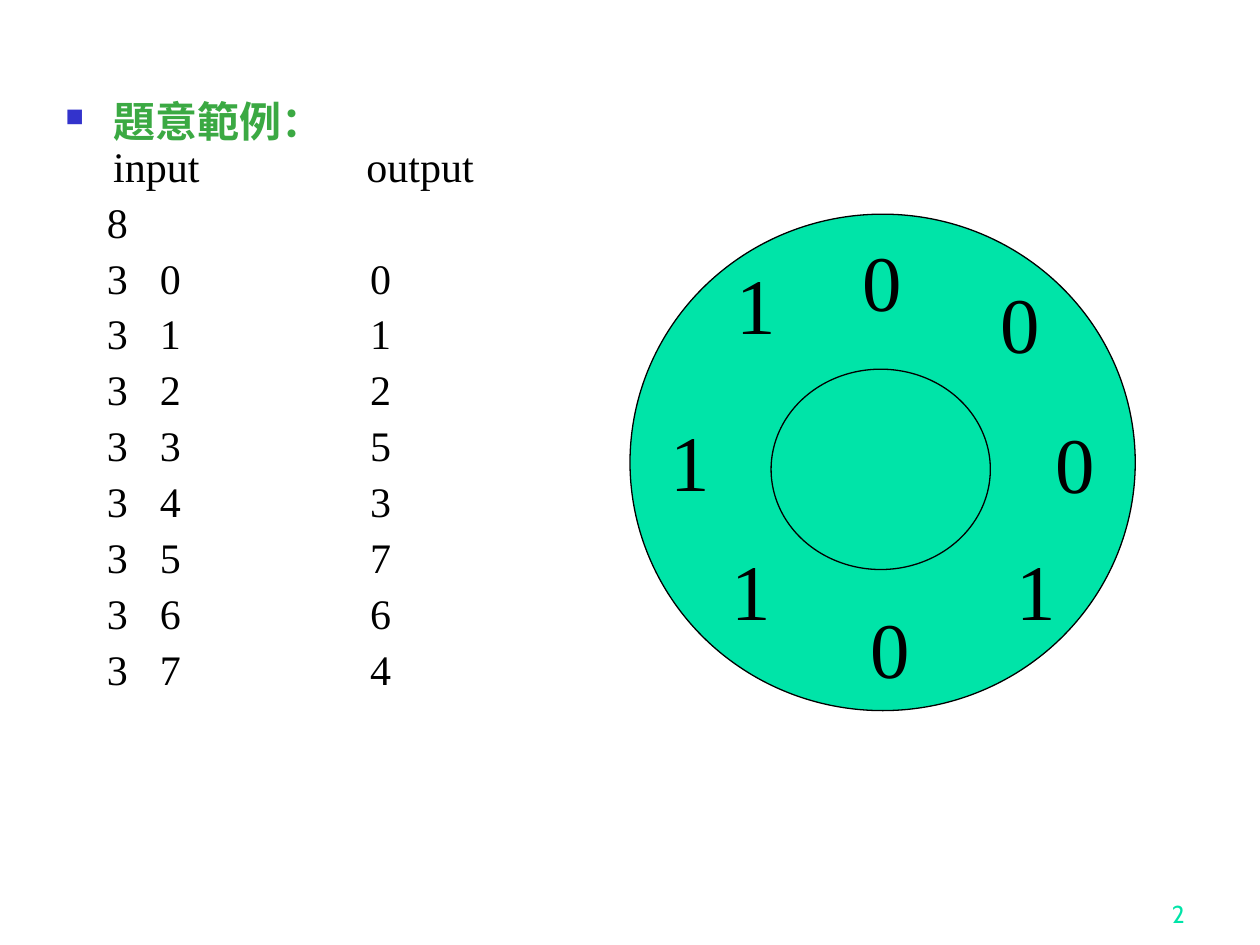
"""Build the slide with the sample input, its output and the ring of bits."""
from dataclasses import dataclass

from lxml.etree import SubElement
from pptx import Presentation
from pptx.dml.color import RGBColor
from pptx.enum.shapes import MSO_SHAPE
from pptx.enum.text import MSO_ANCHOR, PP_ALIGN
from pptx.oxml.ns import qn
from pptx.util import Inches, Pt


@dataclass(frozen=True)
class Theme:
    black: str = "000000"
    green: str = "3BA943"
    mint: str = "00E4A8"
    blue: str = "3333CC"
    serif: str = "Times New Roman"
    sans: str = "Cabin"
    body: int = 24
    digit: int = 45
    small: int = 14


THEME = Theme()
ROWS = ["8"] + [f"3\t{n}\t{out}" for n, out in enumerate([0, 1, 2, 5, 3, 7, 6, 4])]
BITS = [
    ("0", 6.75, 1.8), ("0", 7.84, 2.13), ("0", 8.28, 3.24), ("1", 7.97, 4.25),
    ("0", 6.81, 4.71), ("1", 5.71, 4.25), ("1", 5.22, 3.23), ("1", 5.75, 1.98),
]


def add_box(slide, left, top, width, height, wrap=True):
    box = slide.shapes.add_textbox(
        Inches(left), Inches(top), Inches(width), Inches(height))
    box.text_frame.word_wrap = wrap
    return box.text_frame


def write(para, text, size=THEME.body, font=THEME.serif, color=THEME.black, bold=False):
    run = para.add_run()
    run.text = text
    run.font.size = Pt(size)
    run.font.name = font
    run.font.bold = bold
    run.font.color.rgb = RGBColor.from_string(color)


def set_bullet(para):
    props = para._p.get_or_add_pPr()
    props.set("marL", str(Inches(0.38)))
    props.set("indent", str(Inches(-0.38)))
    tint = SubElement(props, qn("a:buClr"))
    SubElement(tint, qn("a:srgbClr"), val=THEME.blue)
    SubElement(props, qn("a:buSzPct"), val="60000")
    SubElement(props, qn("a:buChar"), char="■")


def set_tabs(para, stops):
    tabs = SubElement(para._p.get_or_add_pPr(), qn("a:tabLst"))
    for stop in stops:
        SubElement(tabs, qn("a:tab"), pos=str(Inches(stop)), algn="l")


def add_row(frame, text, stops, gap=6):
    para = frame.add_paragraph()
    set_tabs(para, stops)
    para.line_spacing = 0.9
    para.space_before = Pt(gap)
    write(para, "\t" + text)


def add_sample(slide):
    frame = add_box(slide, 0.42, 0.75, 8.83, 6.15)
    head = frame.paragraphs[0]
    set_bullet(head)
    head.line_spacing = 0.9
    write(head, "題意範例：", color=THEME.green, bold=True)
    add_row(frame, "input\toutput", (0.38, 2.39), gap=0)
    for row in ROWS:
        add_row(frame, row, (0.33, 0.75, 2.42))


def add_disc(slide, left, top, width, height):
    disc = slide.shapes.add_shape(
        MSO_SHAPE.OVAL, Inches(left), Inches(top), Inches(width), Inches(height))
    disc.shadow.inherit = False
    disc.fill.solid()
    disc.fill.fore_color.rgb = RGBColor.from_string(THEME.mint)
    disc.line.color.rgb = RGBColor.from_string(THEME.black)
    disc.line.width = Pt(0.75)


def add_ring(slide):
    add_disc(slide, 5, 1.7, 4.01, 3.94)
    add_disc(slide, 6.12, 2.93, 1.74, 1.59)
    for bit, left, top in BITS:
        frame = add_box(slide, left, top, 0.51, 0.85, wrap=False)
        write(frame.paragraphs[0], bit, size=THEME.digit)


def add_page(slide):
    frame = add_box(slide, 7.42, 6.92, 2.08, 0.5)
    frame.vertical_anchor = MSO_ANCHOR.BOTTOM
    para = frame.paragraphs[0]
    para.alignment = PP_ALIGN.RIGHT
    write(para, "2", size=THEME.small, font=THEME.sans, color=THEME.mint)


def main():
    deck = Presentation()
    deck.slide_width, deck.slide_height = Inches(10), Inches(7.5)
    slide = deck.slides.add_slide(deck.slide_layouts[6])
    add_page(slide)
    add_sample(slide)
    add_ring(slide)
    deck.save("out.pptx")


if __name__ == "__main__":
    main()
